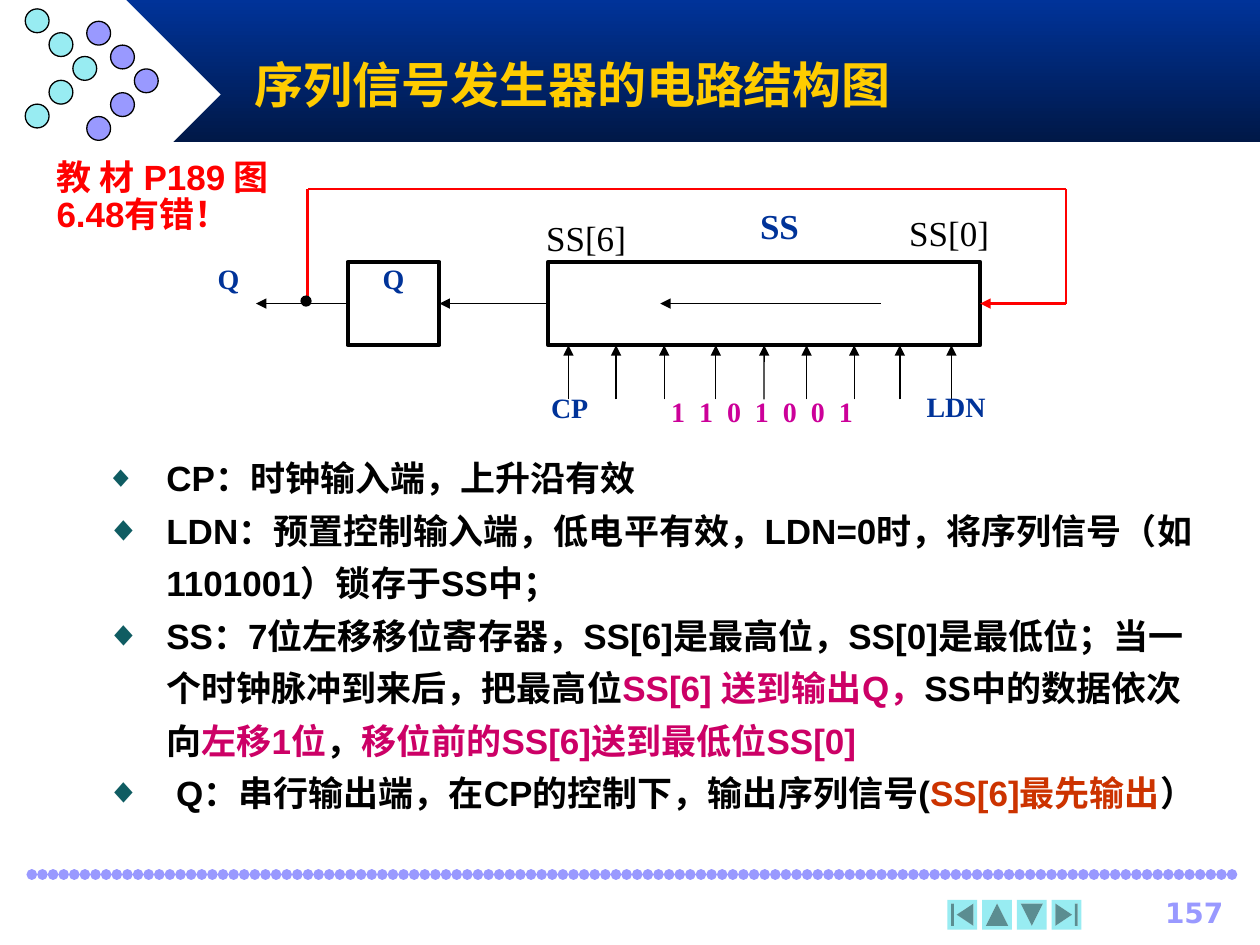
"""Build the slide on the circuit structure of a sequence signal generator."""
from lxml.etree import SubElement
from pptx import Presentation
from pptx.dml.color import RGBColor
from pptx.enum.shapes import MSO_CONNECTOR, MSO_SHAPE
from pptx.enum.text import MSO_ANCHOR, MSO_AUTO_SIZE, PP_ALIGN
from pptx.oxml.ns import qn
from pptx.util import Cm, Pt

COLORS = {
    "navy": "003399", "midnight": "001847", "white": "FFFFFF", "black": "000000",
    "lilac": "9999FF", "aqua": "98ECF2", "gold": "FFCC00", "teal": "0F5C62",
    "red": "FF0000", "magenta": "CC0099", "crimson": "CC0066", "rust": "CC3300",
}
SERIF, SANS = "Times New Roman", "Arial"


def rgb(name):
    return RGBColor.from_string(COLORS[name])


class SlideBuilder:
    def __init__(self, slide):
        self.slide = slide

    def style(self, font, size, color, bold=True, name=SERIF):
        font.name, font.size, font.bold = name, Pt(size), bold
        font.color.rgb = rgb(color)

    def shape(self, kind, left, top, width, height, fill=None, line=None, weight=0.75):
        shape = self.slide.shapes.add_shape(kind, Cm(left), Cm(top), Cm(width), Cm(height))
        shape.shadow.inherit = False
        if fill:
            shape.fill.solid()
            shape.fill.fore_color.rgb = rgb(fill)
        else:
            shape.fill.background()
        if line:
            shape.line.color.rgb = rgb(line)
            shape.line.width = Pt(weight)
        else:
            shape.line.fill.background()
        return shape

    def gradient(self, shape, *colors):
        shape.fill.gradient()
        shape.fill.gradient_angle = 270
        for position, (stop, color) in enumerate(zip(shape.fill.gradient_stops, colors)):
            stop.position = position
            stop.color.rgb = rgb(color)

    def chevron(self, left, top, fill, size=0.48):
        for row in range(5):
            self.shape(MSO_SHAPE.OVAL, left + size * min(row, 4 - row), top + size * row,
                       size, size, fill, "black")

    def line(self, start, end, color="black", weight=0.75, arrow=False, begin=None, finish=None):
        connector = self.slide.shapes.add_connector(
            MSO_CONNECTOR.STRAIGHT, *(Cm(value) for value in (*start, *end)))
        connector.line.color.rgb = rgb(color)
        connector.line.width = Pt(weight)
        SubElement(connector.element.spPr, qn("a:effectLst"))
        if arrow:
            SubElement(connector.line._get_or_add_ln(), qn("a:tailEnd"), type="triangle")
        if begin:
            connector.begin_connect(*begin)
        if finish:
            connector.end_connect(*finish)
        return connector

    def dotted_rule(self, start, end, color, weight):
        line = self.line(start, end, color, weight).line._get_or_add_ln()
        line.set("cap", "rnd")
        dash = SubElement(line, qn("a:custDash"))
        SubElement(dash, qn("a:ds"), d="1000", sp="100000")

    def caption(self, shape, text, size, color, align=PP_ALIGN.CENTER, spacing=0.8,
                bold=True, name=SERIF, tracking=0):
        frame = shape.text_frame
        frame.word_wrap = True
        frame.vertical_anchor = MSO_ANCHOR.TOP
        frame.text = text
        paragraph = frame.paragraphs[0]
        paragraph.alignment = align
        paragraph.line_spacing = spacing
        run = paragraph.runs[0]
        self.style(run.font, size, color, bold, name)
        if tracking:
            run.font._element.set("spc", str(tracking))

    def label(self, left, top, width, height, *args, **options):
        box = self.slide.shapes.add_textbox(Cm(left), Cm(top), Cm(width), Cm(height))
        self.caption(box, *args, **options)

    def place(self, placeholder, left, top, width, height):
        placeholder.left, placeholder.top = Cm(left), Cm(top)
        placeholder.width, placeholder.height = Cm(width), Cm(height)
        placeholder.element.getparent().append(placeholder.element)
        frame = placeholder.text_frame
        frame.word_wrap = True
        frame.auto_size = MSO_AUTO_SIZE.NONE
        return frame

    def title(self, text, *position):
        frame = self.place(self.slide.shapes.title, *position)
        frame.vertical_anchor = MSO_ANCHOR.MIDDLE
        frame.text = text
        paragraph = frame.paragraphs[0]
        paragraph.alignment = PP_ALIGN.LEFT
        self.style(paragraph.runs[0].font, 28, "gold", name=SANS)

    def bullet(self, paragraph, percent):
        properties = paragraph._p.get_or_add_pPr()
        properties.set("marL", str(Cm(1.22)))
        properties.set("indent", str(-Cm(1.22)))
        color = SubElement(properties, qn("a:buClr"))
        SubElement(color, qn("a:srgbClr"), val=COLORS["teal"])
        SubElement(properties, qn("a:buSzPct"), val=str(percent * 1000))
        SubElement(properties, qn("a:buFont"), typeface=SANS)
        SubElement(properties, qn("a:buChar"), char="◆")

    def body(self, items, *position):
        frame = self.place(self.slide.placeholders[1], *position)
        frame.vertical_anchor = MSO_ANCHOR.TOP
        for index, pieces in enumerate(items):
            paragraph = frame.add_paragraph() if index else frame.paragraphs[0]
            self.bullet(paragraph, 100 if index else 85)
            paragraph.alignment = PP_ALIGN.LEFT
            paragraph.space_before = Pt(0)
            paragraph.line_spacing = Pt(30) if index else 1.5
            for text, color, *name in pieces:
                run = paragraph.add_run()
                run.text = text
                self.style(run.font, 20, color, name=name[0] if name else SANS)


ITEMS = [
    [("CP：时钟输入端，", "black"), ("上升沿有效", "black", SERIF)],
    [("LDN：预置控制输入端，低电平有效，LDN=0时，将序列信号（如1101001）锁存于SS中；", "black")],
    [("SS：7位左移移位寄存器，SS[6]是最高位，SS[0]是最低位；当一个时钟脉冲到来后，把最高位", "black"),
     ("SS[6] 送到输出Q，", "crimson"), ("SS中的数据依次向", "black"), ("左移1位", "crimson"),
     ("，", "black"), ("移位前的SS[6]送到最低位SS[0]", "crimson")],
    [(" Q：串行输出端，在CP的控制下，输出序列信号(", "black"),
     ("SS[6]最先输出", "rust"), ("）", "black")],
]


def draw_frame(builder):
    banner = builder.shape(MSO_SHAPE.RECTANGLE, 2.54, 0, 22.86, 2.87)
    builder.gradient(banner, "navy", "midnight")
    builder.shape(MSO_SHAPE.DIAMOND, 0.64, 0, 3.81, 3.81, "white")
    builder.chevron(1.75, 0.43, "lilac")
    builder.chevron(0.51, 0.18, "aqua")
    builder.dotted_rule((0.64, 17.63), (24.97, 17.63), "lilac", 6)
    buttons = [(MSO_SHAPE.ACTION_BUTTON_BEGINNING, 0),
               (MSO_SHAPE.ACTION_BUTTON_BACK_OR_PREVIOUS, 90),
               (MSO_SHAPE.ACTION_BUTTON_FORWARD_OR_NEXT, 90),
               (MSO_SHAPE.ACTION_BUTTON_END, 0)]
    for index, (kind, rotation) in enumerate(buttons):
        button = builder.shape(kind, 19.1 + 0.7 * index, 18.14, 0.6, 0.6, "aqua")
        button.rotation = rotation
    builder.label(22.5, 17.93, 2.41, 0.84, "157", 16, "lilac", PP_ALIGN.RIGHT, 1,
                  name="DejaVu Sans")


def draw_circuit(builder):
    axis, loop_top, loop_left, loop_right = 6.12, 3.81, 6.2, 21.49
    register = builder.shape(MSO_SHAPE.RECTANGLE, 11.05, 5.28, 8.71, 1.68, "white", "black", 2.25)
    output = builder.shape(MSO_SHAPE.RECTANGLE, 7.01, 5.28, 1.85, 1.68, None, "black", 2.25)
    builder.caption(output, "Q", 16, "navy")

    for x in (11.46, 12.42, 13.39, 14.43, 16.26, 17.22, 18.14, 19.18):
        builder.line((x, 8.05), (x, 6.96), arrow=True)
    builder.line((15.4, 8.05), (15.4, 6.96), arrow=True, finish=(register, 2))
    builder.line((11.05, axis), (8.86, axis), arrow=True, begin=(register, 1), finish=(output, 3))
    builder.line((17.75, axis), (13.31, axis), arrow=True)
    builder.line((7.01, axis), (5.16, axis), arrow=True, begin=(output, 1))

    builder.line((loop_right, axis), (19.76, axis), "red", 1.5, True, finish=(register, 3))
    corners = [(loop_right, axis), (loop_right, loop_top), (loop_left, loop_top), (loop_left, axis)]
    for start, end in zip(corners, corners[1:]):
        builder.line(start, end, "red", 1.5)
    builder.shape(MSO_SHAPE.OVAL, 6.07, 5.97, 0.2, 0.2, "black", "black")

    builder.label(11.48, 7.8, 7.77, 1.68, "1 1 0 1 0 0 1", 16, "magenta", spacing=1.04, tracking=200)
    builder.label(14.05, 4.17, 3.33, 1.12, "SS", 20, "navy")
    for left, top, width, text in ((3.68, 5.28, 1.85, "Q"), (10.19, 7.87, 2.59, "CP"),
                                   (17.98, 7.85, 2.59, "LDN")):
        builder.label(left, top, width, 1.68, text, 16, "navy")
    for left, top, text in ((10.59, 4.34, "SS[6]"), (17.91, 4.24, "SS[0]")):
        builder.label(left, top, 2.28, 1.02, text, 20, "black", PP_ALIGN.RIGHT, 0.9, bold=False)


def main():
    presentation = Presentation()
    presentation.slide_width, presentation.slide_height = Cm(25.4), Cm(19.05)
    builder = SlideBuilder(presentation.slides.add_slide(presentation.slide_layouts[1]))
    draw_frame(builder)
    builder.title("序列信号发生器的电路结构图", 4.88, 0.84, 19.05, 1.7)
    builder.body(ITEMS, 1.88, 8.66, 22.5, 8.94)
    draw_circuit(builder)
    builder.label(0.89, 3.1, 4.78, 1.78, "教材P189图6.48有错！", 20, "red",
                  PP_ALIGN.JUSTIFY, 0.9, name=SANS)
    presentation.save("out.pptx")


if __name__ == "__main__":
    main()
